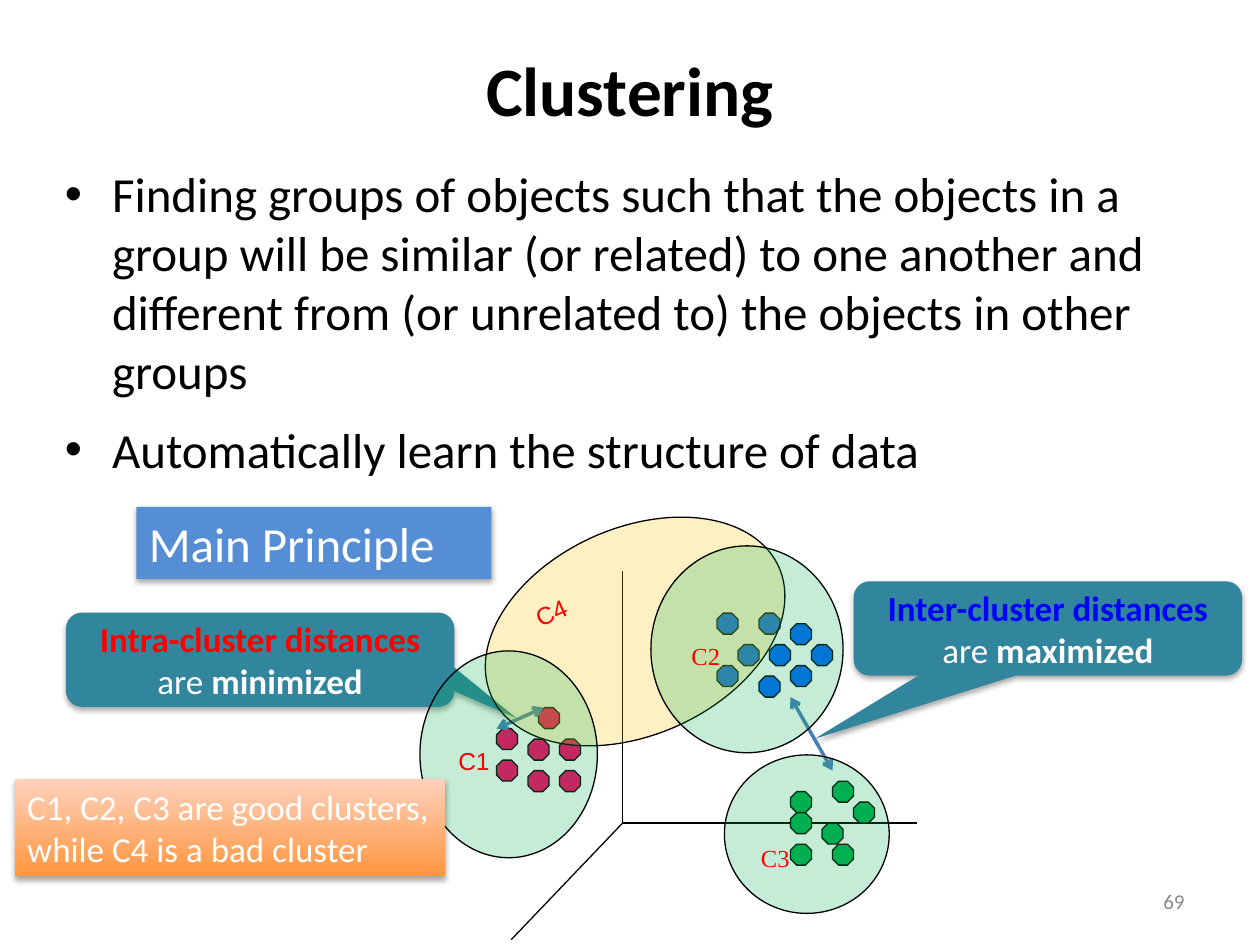
from lxml import etree
from pptx import Presentation
from pptx.dml.color import RGBColor
from pptx.enum.shapes import MSO_CONNECTOR, MSO_SHAPE
from pptx.enum.text import MSO_ANCHOR, PP_ALIGN
from pptx.oxml.ns import qn
from pptx.util import Cm, Pt

LINE = MSO_CONNECTOR.STRAIGHT
RECT, OVAL, OCTAGON = MSO_SHAPE.RECTANGLE, MSO_SHAPE.OVAL, MSO_SHAPE.OCTAGON
CALLOUT = MSO_SHAPE.ROUNDED_RECTANGULAR_CALLOUT
TOP, MIDDLE = MSO_ANCHOR.TOP, MSO_ANCHOR.MIDDLE
LEFT, CENTER, RIGHT = PP_ALIGN.LEFT, PP_ALIGN.CENTER, PP_ALIGN.RIGHT

BLACK = RGBColor(0x00, 0x00, 0x00)
WHITE = RGBColor(0xFF, 0xFF, 0xFF)
GRAY = RGBColor(0x89, 0x89, 0x89)
RED = RGBColor(0xFF, 0x00, 0x00)
DEEP_BLUE = RGBColor(0x00, 0x00, 0xFF)
BLUE = RGBColor(0x00, 0x66, 0xFF)
PINK = RGBColor(0xFF, 0x00, 0x66)
GREEN = RGBColor(0x00, 0xB0, 0x50)
GOLD = RGBColor(0xFF, 0xC0, 0x00)
TEAL = RGBColor(0x31, 0x85, 0x9C)
SKY = RGBColor(0x55, 0x8E, 0xD5)
STEEL = RGBColor(0x4B, 0x7E, 0xBC)
ORANGE = RGBColor(0xFF, 0x95, 0x3E)
PEACH = RGBColor(0xFF, 0xD2, 0xBD)

UNIT = 2.54 / 12
POINTS = {
    BLUE: [(23, 3), (26, 3), (25, 0), (25, 6), (30, 3), (28, 1), (21, 0), (28, 5), (21, 5)],
    PINK: [(0, 11), (3, 12), (3, 15), (6, 12), (4, 9), (6, 15), (0, 14)],
    GREEN: [(28, 17), (34, 18), (31, 20), (28, 22), (32, 22), (28, 19), (32, 16)],
}
AXIS_ENDS = [(12, -4), (40, 20), (1.4, 31.1)]
ARROWS = [((0, 11), (4.5, 9)), ((28, 8), (32, 15))]
CLUSTERS = [
    ("C4", (-1.8, -8.1, 30, 19.7), 335.8, GOLD, "Arial", 0.54, 0.13),
    ("C1", (-7.3, 3.6, 16.9, 19.7), 0, GREEN, "Arial", 0.25, 1.31),
    ("C2", (14.7, -6.4, 18.3, 19.7), 0, GREEN, "Times New Roman", 0.25, 1.31),
    ("C3", (21.7, 13.5, 15.7, 15.1), 0, GREEN, "Times New Roman", 0.25, 1.31),
]


def apply(target, fmt):
    for name, value in fmt.items():
        setattr(target, name, value)


def write(sp, paragraphs, size, align=LEFT, font="Calibri", **frame):
    tf = sp.text_frame
    apply(tf, {"word_wrap": True, "vertical_anchor": TOP, **frame})
    for i, runs in enumerate(paragraphs):
        p = tf.paragraphs[0] if i == 0 else tf.add_paragraph()
        p.alignment = align
        for text, color, bold in runs:
            r = p.add_run()
            r.text = text
            apply(r.font, {"name": font, "size": Pt(size), "bold": bold})
            r.font.color.rgb = color
    return tf


def add_shape(shapes, kind, box, fill=None, outlined=False):
    sp = shapes.add_shape(kind, *map(Cm, box))
    sp.shadow.inherit = False
    if fill is not None:
        sp.fill.solid()
        sp.fill.fore_color.rgb = fill
    if outlined:
        sp.line.color.rgb = BLACK
        sp.line.width = Pt(0.75)
    else:
        sp.line.fill.background()
    return sp


def add_shadow(sp):
    effects = sp._element.spPr.find(qn("a:effectLst"))
    shadow = etree.SubElement(effects, qn("a:outerShdw"), blurRad="40000", dist="23000",
                              dir="5400000", rotWithShape="0")
    color = etree.SubElement(shadow, qn("a:srgbClr"), val=str(BLACK))
    etree.SubElement(color, qn("a:alpha"), val="35000")


def add_line(shapes, origin, start, end, color, width, arrow=False):
    ends = [Cm(o + v * UNIT) for point in (start, end) for o, v in zip(origin, point)]
    line = shapes.add_connector(LINE, *ends)
    line.line.color.rgb = color
    line.line.width = Pt(width)
    if arrow:
        for tag in ("a:headEnd", "a:tailEnd"):
            etree.SubElement(line.line._get_or_add_ln(), qn(tag), type="arrow")
    etree.SubElement(line._element.spPr, qn("a:effectLst"))


def add_label(s, box, text, size, color, align, bold=False):
    sp = s.shapes.add_textbox(*map(Cm, box))
    write(sp, [[(text, color, bold)]], size, align, vertical_anchor=MIDDLE)


def add_body(s, box, items):
    sp = s.shapes.add_textbox(*map(Cm, box))
    tf = write(sp, [[(item, BLACK, False)] for item in items], 28)
    for i, p in enumerate(tf.paragraphs):
        pPr = p._p.get_or_add_pPr()
        pPr.set("marL", str(Cm(0.95)))
        pPr.set("indent", str(-Cm(0.95)))
        p.space_before = Pt(5.6 if i else 0)
        p.space_after = Pt(6)
        etree.SubElement(pPr, qn("a:buFont"), typeface="Arial")
        etree.SubElement(pPr, qn("a:buChar"), char="•")


def add_points(s, origin):
    shapes = s.shapes.add_group_shape().shapes
    x, y = origin
    for end in AXIS_ENDS:
        add_line(shapes, origin, (12, 20), end, BLACK, 0.75)
    for color, places in POINTS.items():
        for col, row in places:
            box = (x + col * UNIT, y + row * UNIT, 2 * UNIT, 2 * UNIT)
            add_shape(shapes, OCTAGON, box, color, outlined=True)


def add_arrows(s, origin):
    for start, end in ARROWS:
        add_line(s.shapes, origin, start, end, STEEL, 2, arrow=True)


def add_callout(s, box, tip, heading, color, verb):
    sp = add_shape(s.shapes, CALLOUT, box, TEAL)
    for i, value in enumerate((*tip, 0.17)):
        sp.adjustments[i] = value
    add_shadow(sp)
    lines = [[(heading, color, True)], [("are ", WHITE, False), (verb, WHITE, True)]]
    write(sp, lines, 20, CENTER, vertical_anchor=MIDDLE)


def add_clusters(s, origin):
    x, y = origin
    for name, (col, row, w, h), turn, color, font, left, top in CLUSTERS:
        box = (x + col * UNIT, y + row * UNIT, w * UNIT, h * UNIT)
        sp = add_shape(s.shapes, OVAL, box, color, outlined=True)
        sp.rotation = turn
        rgb = sp._element.spPr.find(qn("a:solidFill")).find(qn("a:srgbClr"))
        etree.SubElement(rgb, qn("a:alpha"), val="23000")
        write(sp, [[(name, RED, False)]], 14, font=font,
              margin_left=Cm(left), margin_top=Cm(top))


def add_banner(s, box, text):
    sp = add_shape(s.shapes, RECT, box, SKY)
    add_shadow(sp)
    write(sp, [[(text, WHITE, False)]], 28)


def add_remark(s, box, lines):
    sp = add_shape(s.shapes, RECT, box)
    sp.fill.gradient()
    sp.fill.gradient_angle = 90
    for stop, color in zip(sp.fill.gradient_stops, (ORANGE, PEACH)):
        stop.color.rgb = color
    add_shadow(sp)
    write(sp, [[(line, WHITE, False)] for line in lines], 20, word_wrap=False)


def main():
    prs = Presentation()
    prs.slide_width, prs.slide_height = Cm(25.4), Cm(19.05)
    s = prs.slides.add_slide(prs.slide_layouts[6])
    origin = (10.01, 12.36)
    add_label(s, (1.9, 0.85, 21.6, 1.9), "Clustering", 39.6, BLACK, CENTER, bold=True)
    add_body(s, (1.06, 3.18, 24, 12.7), [
        "Finding groups of objects such that the objects in a group will be similar "
        "(or related) to one another and different from (or unrelated to) the objects "
        "in other groups",
        "Automatically learn the structure of data",
    ])
    add_points(s, origin)
    add_arrows(s, origin)
    add_callout(s, (1.33, 12.35, 7.83, 1.9), (0.66, 0.62),
                "Intra-cluster distances", RED, "minimized")
    add_callout(s, (17.21, 11.72, 7.83, 1.9), (-0.6, 1.17),
                "Inter-cluster distances", DEEP_BLUE, "maximized")
    add_banner(s, (2.75, 10.22, 7.16, 1.45), "Main Principle")
    add_clusters(s, origin)
    add_remark(s, (0.3, 15.71, 8.68, 1.96),
               ["C1, C2, C3 are good clusters,", "while C4 is a bad cluster"])
    add_label(s, (18.2, 17.66, 5.93, 1.01), "69", 12, GRAY, RIGHT)
    prs.save("out.pptx")


if __name__ == "__main__":
    main()
